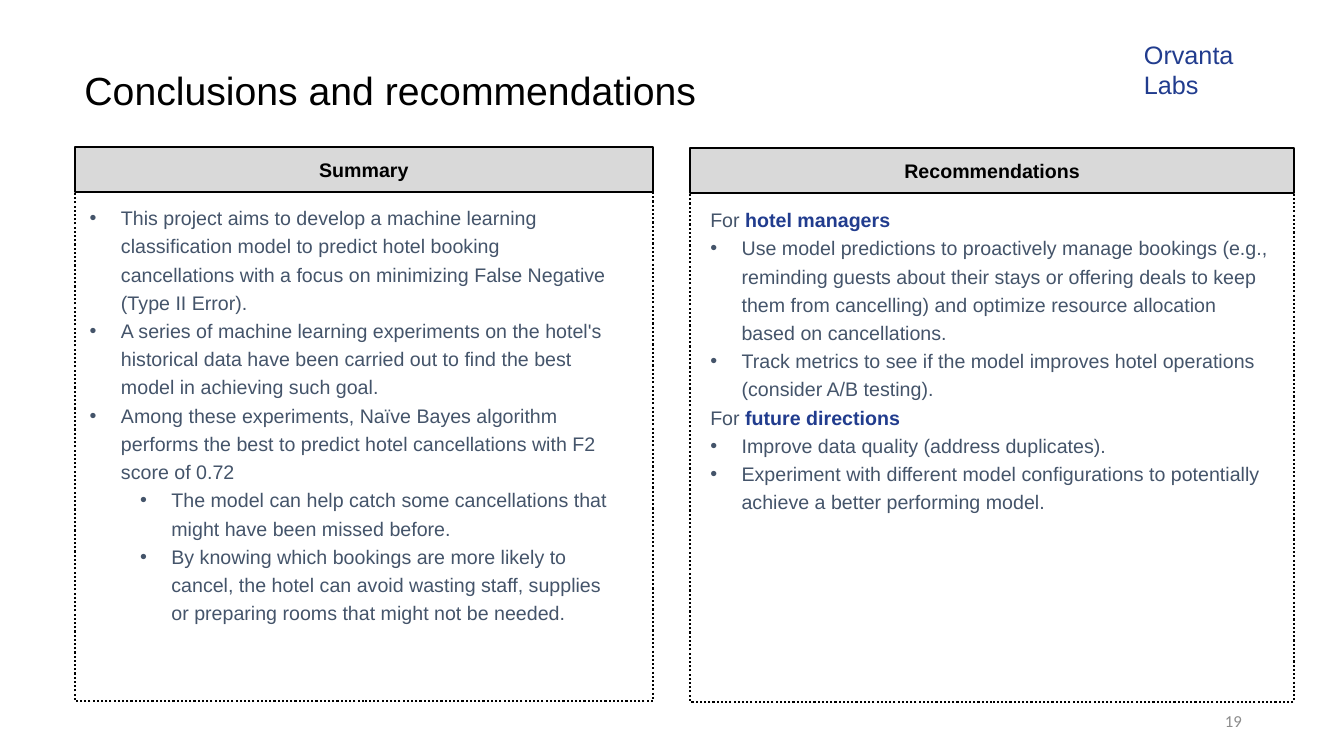
"""Build the conclusions and recommendations slide."""
import pptx
import pptx.dml.color
import pptx.enum.dml
import pptx.enum.shapes
import pptx.enum.text
import pptx.util
from lxml import etree

Cm = pptx.util.Cm
Pt = pptx.util.Pt
RGBColor = pptx.dml.color.RGBColor
Align = pptx.enum.text.PP_ALIGN
Anchor = pptx.enum.text.MSO_ANCHOR

BLACK = RGBColor(0x00, 0x00, 0x00)
WHITE = RGBColor(0xFF, 0xFF, 0xFF)
HEADER_GRAY = RGBColor(0xD9, 0xD9, 0xD9)
NUMBER_GRAY = RGBColor(0x8C, 0x8C, 0x8C)
SLATE = RGBColor(0x44, 0x54, 0x6A)
NAVY = RGBColor(0x21, 0x3C, 0x8E)

HEADING = None
LABELS = [
    ("Conclusions and recommendations", (1.88, 1.47, 29.03, 1.57), 28, "Arial", BLACK, Align.LEFT, Anchor.MIDDLE, True),
    ("19", (23.93, 17.65, 7.62, 1.02), 12, "Calibri", NUMBER_GRAY, Align.RIGHT, Anchor.MIDDLE, True),
    ("Orvanta Labs", (28.58, 0.86, 4.04, 1.02), 18, "Arial", NAVY, Align.LEFT, Anchor.TOP, False),
]
PANELS = [
    {
        "title": "Summary",
        "left": 1.88, "top": 3.71, "width": 14.58,
        "text_area": (2.01, 4.95, 13.56, 12.62),
        "lines": [
            (0, "This project aims to develop a machine learning classification model to predict hotel booking cancellations with a focus on minimizing False Negative (Type II Error)."),
            (0, "A series of machine learning experiments on the hotel's historical data have been carried out to find the best model in achieving such goal."),
            (0, "Among these experiments, Naïve Bayes algorithm performs the best to predict hotel cancellations with F2 score of 0.72"),
            (1, "The model can help catch some cancellations that might have been missed before."),
            (1, "By knowing which bookings are more likely to cancel, the hotel can avoid wasting staff, supplies or preparing rooms that might not be needed."),
        ],
    },
    {
        "title": "Recommendations",
        "left": 17.4, "top": 3.74, "width": 15.21,
        "text_area": (17.65, 5, 14.66, 7.98),
        "lines": [
            (HEADING, "hotel managers"),
            (0, "Use model predictions to proactively manage bookings (e.g., reminding guests about their stays or offering deals to keep them from cancelling) and optimize resource allocation based on cancellations."),
            (0, "Track metrics to see if the model improves hotel operations (consider A/B testing)."),
            (HEADING, "future directions"),
            (0, "Improve data quality (address duplicates)."),
            (0, "Experiment with different model configurations to potentially achieve a better performing model."),
        ],
    },
]
HEADER_HEIGHT = 1.12
FRAME_HEIGHT = 13.92
FRAME_DROP = 0.03
HANGING = 0.79
LEVEL_STEP = 1.27


def style_font(font, size, name, color, bold=False):
    font.size = Pt(size)
    font.name = name
    font.color.rgb = color
    font.bold = bold


def add_box(page, area, fill, line):
    box = page.shapes.add_shape(pptx.enum.shapes.MSO_SHAPE.RECTANGLE, *map(Cm, area))
    box.shadow.inherit = False
    box.fill.solid()
    box.fill.fore_color.rgb = fill
    box.line.color.rgb = line
    box.line.width = Pt(1.5)
    box.text_frame.word_wrap = True
    return box


def add_bullet(para, level):
    properties = para._p.get_or_add_pPr()
    properties.set("marL", str(Cm(HANGING + level * LEVEL_STEP)))
    properties.set("indent", str(-Cm(HANGING)))
    namespace = pptx.oxml.ns.qn("a:buChar")
    etree.SubElement(properties, pptx.oxml.ns.qn("a:buFont"), typeface="Arial")
    etree.SubElement(properties, namespace, char="•")


def add_line(para, level, text):
    para.alignment = Align.LEFT
    if level is HEADING:
        para.add_run().text = "For "
        span = para.add_run()
        span.text = text
        span.font.bold = True
        span.font.color.rgb = NAVY
    else:
        para.level = level
        add_bullet(para, level)
        para.add_run().text = text
    para.line_spacing = 1.2
    style_font(para.font, 14, "Arial", SLATE)


def add_panel(page, panel):
    left, top, width = panel["left"], panel["top"], panel["width"]
    frame = add_box(page, (left, top + FRAME_DROP, width, FRAME_HEIGHT), WHITE, BLACK)
    frame.line.dash_style = pptx.enum.dml.MSO_LINE.ROUND_DOT

    header = add_box(page, (left, top, width, HEADER_HEIGHT), HEADER_GRAY, BLACK)
    header.text_frame.vertical_anchor = Anchor.MIDDLE
    para = header.text_frame.paragraphs[0]
    para.text = panel["title"]
    para.alignment = Align.CENTER
    style_font(para.font, 14, "Arial", BLACK, True)

    body = add_box(page, panel["text_area"], WHITE, WHITE).text_frame
    body.vertical_anchor = Anchor.TOP
    for index, (level, text) in enumerate(panel["lines"]):
        para = body.add_paragraph() if index else body.paragraphs[0]
        add_line(para, level, text)


def add_label(page, text, area, size, font_name, color, alignment, anchor, wrap):
    box = page.shapes.add_textbox(*map(Cm, area))
    box.text_frame.word_wrap = wrap
    box.text_frame.vertical_anchor = anchor
    para = box.text_frame.paragraphs[0]
    para.text = text
    para.alignment = alignment
    style_font(para.font, size, font_name, color)


def main():
    deck = pptx.Presentation()
    deck.slide_width = Cm(33.87)
    deck.slide_height = Cm(19.05)
    page = deck.slides.add_slide(deck.slide_layouts[6])
    for panel in PANELS:
        add_panel(page, panel)
    for label in LABELS:
        add_label(page, *label)
    deck.save("out.pptx")


if __name__ == "__main__":
    main()
